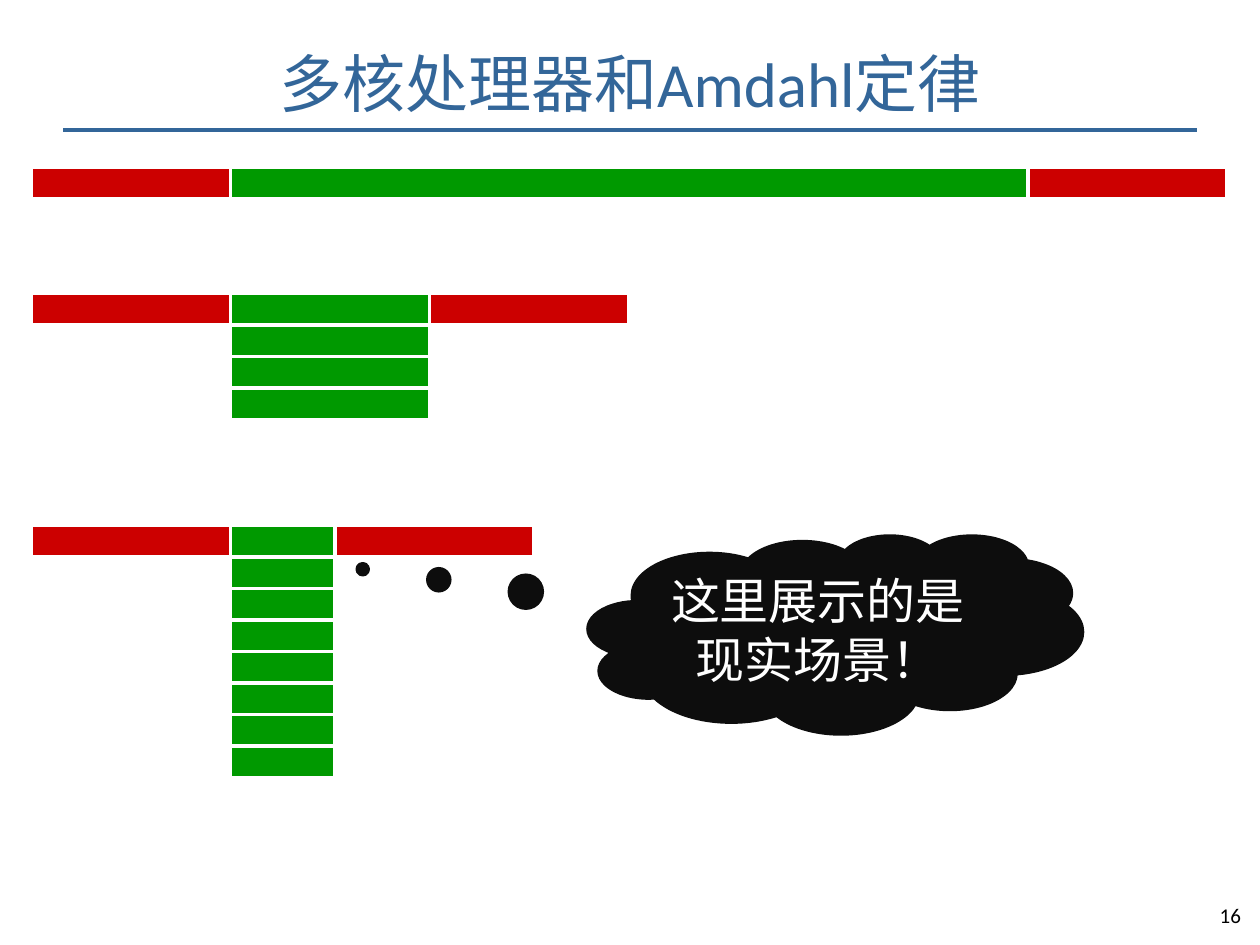
from dataclasses import dataclass

from lxml import etree
from pptx import Presentation
from pptx.dml.color import RGBColor
from pptx.enum.shapes import MSO_CONNECTOR, MSO_SHAPE
from pptx.enum.text import MSO_ANCHOR, PP_ALIGN
from pptx.oxml.ns import qn
from pptx.util import Inches, Pt

RECTANGLE = MSO_SHAPE.RECTANGLE
CLOUD = MSO_SHAPE.CLOUD_CALLOUT
STRAIGHT = MSO_CONNECTOR.STRAIGHT
MIDDLE = MSO_ANCHOR.MIDDLE
CENTER = PP_ALIGN.CENTER

BLUE = RGBColor(0x33, 0x66, 0x99)
RED = RGBColor(0xCC, 0x00, 0x00)
GREEN = RGBColor(0x00, 0x99, 0x00)
WHITE = RGBColor(0xFF, 0xFF, 0xFF)
BLACK = RGBColor(0x00, 0x00, 0x00)
CLOUD_BLACK = RGBColor(0x0D, 0x0D, 0x0D)

LATIN_FONT = "Calibri"
CHINESE_FONT = "Noto Sans CJK SC"
TITLE_ONLY = 5

LEFT = 0.25
SERIAL_WIDTH = 1.58
BAR_HEIGHT = 0.25


@dataclass(frozen=True)
class Timeline:
    top: float
    cores: int
    parallel_width: float


TIMELINES = (
    Timeline(1.33, 1, 6.33),
    Timeline(2.33, 4, 1.58),
    Timeline(4.17, 8, 0.83),
)


def write_text(box, text: str, size: int, color: RGBColor, font: str) -> None:
    frame = box.text_frame
    frame.word_wrap = True
    frame.text = text
    para = frame.paragraphs[0]
    para.alignment = CENTER
    para.font.size = Pt(size)
    para.font.name = font
    para.font.color.rgb = color
    for span in para.runs:
        east_asian = etree.SubElement(span.font._element, qn("a:ea"))
        east_asian.set("typeface", CHINESE_FONT)


def add_filled(page, kind, left: float, top: float, width: float,
               height: float, fill: RGBColor, line: RGBColor):
    shape = page.shapes.add_shape(
        kind, Inches(left), Inches(top), Inches(width), Inches(height))
    shape.shadow.inherit = False
    shape.fill.solid()
    shape.fill.fore_color.rgb = fill
    shape.line.color.rgb = line
    shape.line.width = Pt(2)
    return shape


def add_bar(page, left: float, top: float, width: float, fill: RGBColor) -> None:
    add_filled(page, RECTANGLE, left, top, width, BAR_HEIGHT, fill, WHITE)


def add_timeline(page, timeline: Timeline) -> None:
    parallel_left = LEFT + SERIAL_WIDTH
    final_left = parallel_left + timeline.parallel_width
    add_bar(page, LEFT, timeline.top, SERIAL_WIDTH, RED)
    for core in range(timeline.cores):
        add_bar(page, parallel_left, timeline.top + core * BAR_HEIGHT,
                timeline.parallel_width, GREEN)
    add_bar(page, final_left, timeline.top, SERIAL_WIDTH, RED)


def add_title(page) -> None:
    rule = page.shapes.add_connector(
        STRAIGHT, Inches(0.5), Inches(1.03), Inches(9.5), Inches(1.03))
    rule.line.color.rgb = BLUE
    rule.line.width = Pt(2)
    etree.SubElement(rule._element.spPr, qn("a:effectLst"))

    title = page.shapes.title
    title.left, title.top = Inches(0.5), Inches(0.22)
    title.width, title.height = Inches(9), Inches(0.87)
    title.text_frame.vertical_anchor = MIDDLE
    write_text(title, "多核处理器和Amdahl定律", 36, BLUE, LATIN_FONT)


def add_callout(page) -> None:
    cloud = add_filled(page, CLOUD, 4.67, 4.25, 3.92, 1.57,
                       CLOUD_BLACK, CLOUD_BLACK)
    cloud.adjustments[0] = -0.957
    cloud.adjustments[1] = -0.329
    cloud.text_frame.vertical_anchor = MIDDLE
    write_text(cloud, "这里展示的是现实场景！", 28, WHITE, CHINESE_FONT)


def add_page_number(page) -> None:
    box = page.shapes.add_textbox(
        Inches(9.53), Inches(7.1), Inches(0.47), Inches(0.23))
    frame = box.text_frame
    frame.margin_left = frame.margin_right = Inches(0.11)
    frame.margin_top = frame.margin_bottom = Inches(0.06)
    write_text(box, "16", 12, BLACK, LATIN_FONT)


def main() -> None:
    deck = Presentation()
    deck.slide_width, deck.slide_height = Inches(10), Inches(7.5)
    page = deck.slides.add_slide(deck.slide_layouts[TITLE_ONLY])
    add_title(page)
    for timeline in TIMELINES:
        add_timeline(page, timeline)
    add_callout(page)
    add_page_number(page)
    deck.save("out.pptx")


if __name__ == "__main__":
    main()
